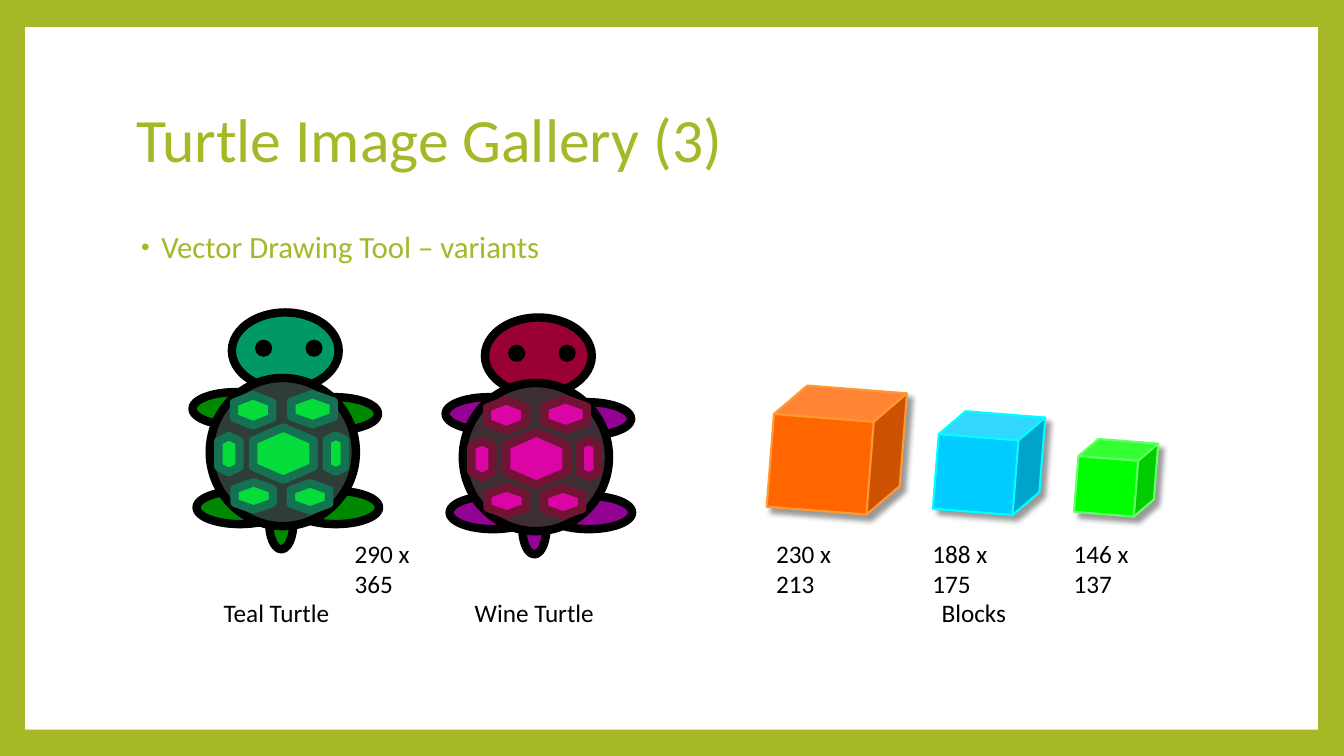
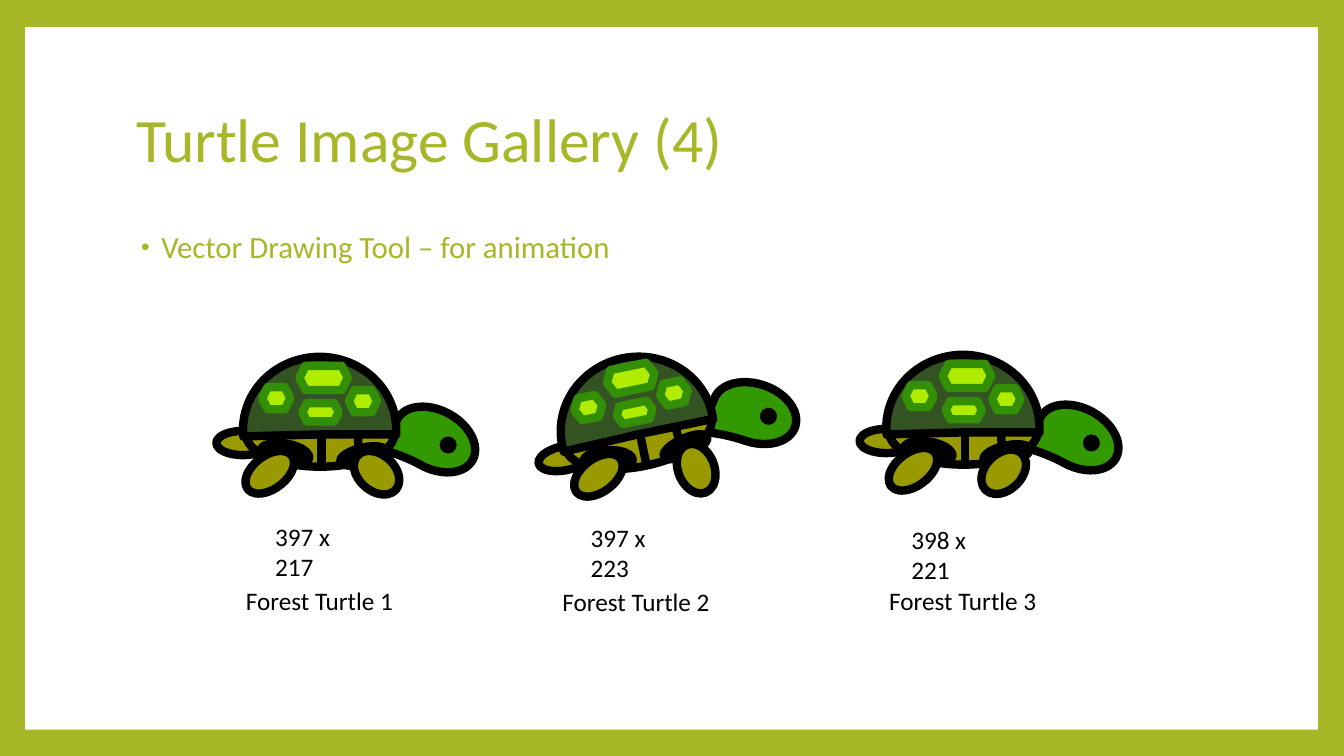
from dataclasses import dataclass
from math import cos, radians, sin

from lxml import etree
from pptx import Presentation
from pptx.dml.color import RGBColor
from pptx.enum.shapes import MSO_CONNECTOR, MSO_SHAPE
from pptx.enum.text import MSO_ANCHOR, MSO_AUTO_SIZE, PP_ALIGN
from pptx.oxml.ns import qn
from pptx.util import Emu, Pt

OVAL, HEX, CUBE = MSO_SHAPE.OVAL, MSO_SHAPE.HEXAGON, MSO_SHAPE.CUBE
CHORD, PIE, TEAR = MSO_SHAPE.CHORD, MSO_SHAPE.PIE, MSO_SHAPE.TEAR
RECT, LINE = MSO_SHAPE.RECTANGLE, MSO_CONNECTOR.STRAIGHT
LEFT, TOP, MIDDLE = PP_ALIGN.LEFT, MSO_ANCHOR.TOP, MSO_ANCHOR.MIDDLE
FIXED = MSO_AUTO_SIZE.NONE

FONT = "Calibri"
LIME, WHITE, BLACK = "A6B727", "FFFFFF", "000000"
SCALE = 9144  # 100 px to the inch


@dataclass
class Part:
    kind: int
    x: float
    y: float
    w: int
    h: int
    fill: str
    edge: str = "ink"
    turn: float = 0
    adj: tuple[float, ...] = ()


@dataclass
class Label:
    text: str
    x: int
    y: int
    w: int = 110


@dataclass
class Block:
    x: int
    y: int
    w: int
    h: int
    fill: str
    edge: str


@dataclass
class Pose:
    x: int
    y: int
    legs: list[Part]
    tilt: float = 0
    nod: float = 0
    shift: tuple[int, int] = (0, 0)


# Turtle seen from above
TEAL = {"ink": BLACK, "limb": "008900", "head": "009966",
        "shell": "2E3D38", "plate": "05DB3A", "rim": "147152"}
WINE = {"ink": BLACK, "limb": "930393", "head": "990033",
        "shell": "3D2E33", "plate": "DB05A6", "rim": "711433"}
LIMBS = [(99, 177), (98, 84), (0, 79), (4, 177)]
PLATES = [(64, 110, 52, 60), (104, 75, 30, 42), (45, 78, 30, 38),
          (47, 163, 27, 38), (103, 164, 27, 38), (124, 131, 36, 18),
          (18, 130, 36, 21)]
ABOVE = [
    *[Part(OVAL, x, y, 86, 33, "limb") for x, y in LIMBS],
    Part(OVAL, 76, 182, 24, 53, "limb"),
    Part(OVAL, 39, 0, 106, 76, "head"),
    Part(OVAL, 17, 65, 145, 147, "shell"),
    *[Part(HEX, *box, "plate", "rim", 90) for box in PLATES],
    *[Part(OVAL, x, 27, 17, 17, "ink", "") for x in (112, 62)],
]

# Turtle seen from the side, measured from the corner of its shell
FOREST = {"ink": BLACK, "limb": "999900", "head": "339900",
          "shell": "335323", "plate": "AFEC00", "rim": "338F05"}
PIVOT = (76, 72.5)
HEAD = [
    Part(TEAR, 148, 53, 85, 58, "head", turn=208.6, adj=(1.334,)),
    Part(OVAL, 195, 79, 17, 17, "ink", ""),
]
BODY = [
    Part(OVAL, -12, 59, 24, 53, "limb", turn=90),
    Part(CHORD, 0, 0, 152, 145, "shell", adj=(104.949, 2.377)),
    Part(PIE, 3, 45, 147, 64, "limb", adj=(0, 107.124)),
    Part(OVAL, 17, 86, 49, 21, "ink", turn=9.4),
    Part(OVAL, 96, 90, 47, 17, "ink", turn=-12.8),
]
SEAMS = [(78, 79, 78, 109), (114, 79, 115, 103), (38, 77, 39, 107)]
SCUTES = [
    Part(HEX, *box, "plate", "rim")
    for box in [(56, 9, 48, 24), (59, 46, 36, 18),
                (105, 33, 28, 22), (19, 30, 28, 22)]
]


def legs(front: tuple[int, int, float], back: tuple[int, int]) -> list[Part]:
    x, y, turn = front
    return [Part(OVAL, x, y, 51, 36, "limb", turn=turn),
            Part(OVAL, *back, 55, 33, "limb", turn=142.9)]


POSES = [
    Pose(241, 354, legs((107, 97, 41.4), (-1, 98))),
    Pose(556, 354, legs((109, 93, 68.4), (10, 101)), -11.6, -9.6, (2, -7)),
    Pose(879, 352, legs((91, 98, 135.5), (-1, 97))),
]

BLOCKS = [
    Block(765, 385, 130, 123, "FF6600", "FF9933"),
    Block(1068, 437, 78, 74, "00FF00", "66FF66"),
    Block(929, 410, 104, 99, "00CCFF", "00FFFF"),
]
VARIANTS = [
    Label("Teal Turtle", 212, 588, 128), Label("Wine Turtle", 461, 588, 139),
    Label("Blocks", 924, 588, 88), Label("290 x 365", 342, 529),
    Label("230 x 213", 760, 529), Label("188 x 175", 915, 529),
    Label("146 x 137", 1055, 529),
]
FRAMES = [
    Label("Forest Turtle 1", 234, 576, 170),
    Label("Forest Turtle 2", 548, 577, 170),
    Label("Forest Turtle 3", 872, 576, 170),
    Label("397 x 217", 263, 512), Label("397 x 223", 576, 513),
    Label("398 x 221", 894, 515),
]


def px(n: float) -> Emu:
    return Emu(round(n * SCALE))


def rgb(code: str) -> RGBColor:
    return RGBColor.from_string(code)


def place(shape, x: int, y: int, w: int, h: int) -> None:
    shape.left, shape.top, shape.width, shape.height = map(px, (x, y, w, h))


def style(para, size: int, color: str) -> None:
    para.alignment = LEFT
    para.font.name, para.font.size = FONT, Pt(size)
    para.font.color.rgb = rgb(color)


def spin(x: float, y: float, turn: float) -> tuple[float, float]:
    """Turn a point about the pivot of the side view."""
    a, dx, dy = radians(turn), x - PIVOT[0], y - PIVOT[1]
    return (PIVOT[0] + dx * cos(a) - dy * sin(a),
            PIVOT[1] + dx * sin(a) + dy * cos(a))


def draw(shapes, part: Part, skin: dict[str, str], x: float, y: float,
         tilt: float = 0, width: float = 6):
    mx, my = part.x + part.w / 2, part.y + part.h / 2
    if tilt:
        mx, my = spin(mx, my, tilt)
    shape = shapes.add_shape(
        part.kind, px(x + mx - part.w / 2), px(y + my - part.h / 2),
        px(part.w), px(part.h))
    shape.rotation = (part.turn + tilt) % 360
    for i, value in enumerate(part.adj):
        shape.adjustments[i] = value
    shape.fill.solid()
    shape.fill.fore_color.rgb = rgb(skin[part.fill])
    if part.edge:
        shape.line.color.rgb = rgb(skin[part.edge])
        shape.line.width = Pt(width)
    else:
        shape.line.fill.background()
    shape.shadow.inherit = False
    return shape


def seam(shapes, ends: tuple[int, int, int, int], pose: Pose) -> None:
    x1, y1 = spin(*ends[:2], pose.tilt)
    x2, y2 = spin(*ends[2:], pose.tilt)
    line = shapes.add_connector(
        LINE, px(pose.x + x1), px(pose.y + y1),
        px(pose.x + x2), px(pose.y + y2))
    line.line.color.rgb = rgb(BLACK)
    line.line.width = Pt(6)
    etree.SubElement(line._element.spPr, qn("a:effectLst"))


def crawl(slide, pose: Pose) -> None:
    shapes = slide.shapes.add_group_shape().shapes
    dx, dy = pose.shift
    for part in HEAD:
        draw(shapes, part, FOREST, pose.x + dx, pose.y + dy, pose.nod)
    for part in BODY:
        draw(shapes, part, FOREST, pose.x, pose.y, pose.tilt)
    for ends in SEAMS:
        seam(shapes, ends, pose)
    for part in SCUTES:
        draw(shapes, part, FOREST, pose.x, pose.y, pose.tilt)
    for part in pose.legs:
        draw(shapes, part, FOREST, pose.x, pose.y)


def stack(slide, block: Block) -> None:
    part = Part(CUBE, 0, 0, block.w, block.h, "face", "edge", 4.5)
    skin = {"face": block.fill, "edge": block.edge}
    cube = draw(slide.shapes, part, skin, block.x, block.y, width=1.5)
    # Soft shadow to the lower right
    effect = cube._element.spPr.find(qn("a:effectLst"))
    shade = etree.SubElement(
        effect, qn("a:outerShdw"), blurRad=str(Pt(4)), dist=str(Pt(5)),
        dir="2700000", algn="tl", rotWithShape="0")
    tint = etree.SubElement(shade, qn("a:srgbClr"), val=BLACK)
    etree.SubElement(tint, qn("a:alpha"), val="40000")


def write(slide, label: Label) -> None:
    box = slide.shapes.add_textbox(
        px(label.x), px(label.y), px(label.w), px(40))
    frame = box.text_frame
    frame.word_wrap = True
    frame.text = label.text
    style(frame.paragraphs[0], 18, BLACK)


def bullet(para) -> None:
    props = para._p.get_or_add_pPr()
    props.set("marL", str(px(25)))
    props.set("indent", str(px(-20)))
    color = etree.SubElement(props, qn("a:buClr"))
    etree.SubElement(color, qn("a:srgbClr"), val=LIME)
    etree.SubElement(props, qn("a:buSzPct"), val="80000")
    etree.SubElement(props, qn("a:buFont"), typeface="Arial")
    etree.SubElement(props, qn("a:buChar"), char="•")


def theme(deck):
    """Set the green frame and the placeholders that all slides share."""
    master, layout = deck.slide_master, deck.slide_layouts[1]
    back = master.background.fill
    back.solid()
    back.fore_color.rgb = rgb(LIME)
    place(layout.placeholders[0], 125, 67, 1080, 148)
    place(layout.placeholders[1], 125, 225, 1080, 442)
    return layout


def panel(deck, slide) -> None:
    """Draw the white panel and move it to the master."""
    part = Part(RECT, 25, 27, 1282, 697, "page", "")
    shape = draw(slide.shapes, part, {"page": WHITE}, 0, 0)
    deck.slide_master.shapes._spTree.insert(2, shape._element)


def page(deck, layout, title: str, topic: str, labels: list[Label]):
    slide = deck.slides.add_slide(layout)
    head, body = slide.placeholders
    for holder, text, size, anchor in (
            (head, title, 44, MIDDLE), (body, topic, 22, TOP)):
        frame = holder.text_frame
        frame.text = text
        frame.vertical_anchor = anchor
        frame.auto_size = FIXED
        para = frame.paragraphs[0]
        para.line_spacing = 0.9
        if holder is body:
            para.space_before = Pt(14)
            bullet(para)
        style(para, size, LIME)
    for label in labels:
        write(slide, label)
    return slide


def main() -> None:
    deck = Presentation()
    deck.slide_width, deck.slide_height = px(1333), px(750)
    layout = theme(deck)

    # Variants
    slide = page(deck, layout, "Turtle Image Gallery (3)",
                 "Vector Drawing Tool – variants", VARIANTS)
    panel(deck, slide)
    for skin, x, y in ((TEAL, 191, 310), (WINE, 442, 315)):
        group = slide.shapes.add_group_shape()
        for part in ABOVE:
            draw(group.shapes, part, skin, x, y)
    for block in BLOCKS:
        stack(slide, block)

    # Animation frames
    slide = page(deck, layout, "Turtle Image Gallery (4)",
                 "Vector Drawing Tool – for animation", FRAMES)
    for pose in POSES:
        crawl(slide, pose)

    deck.save("out.pptx")


if __name__ == "__main__":
    main()
